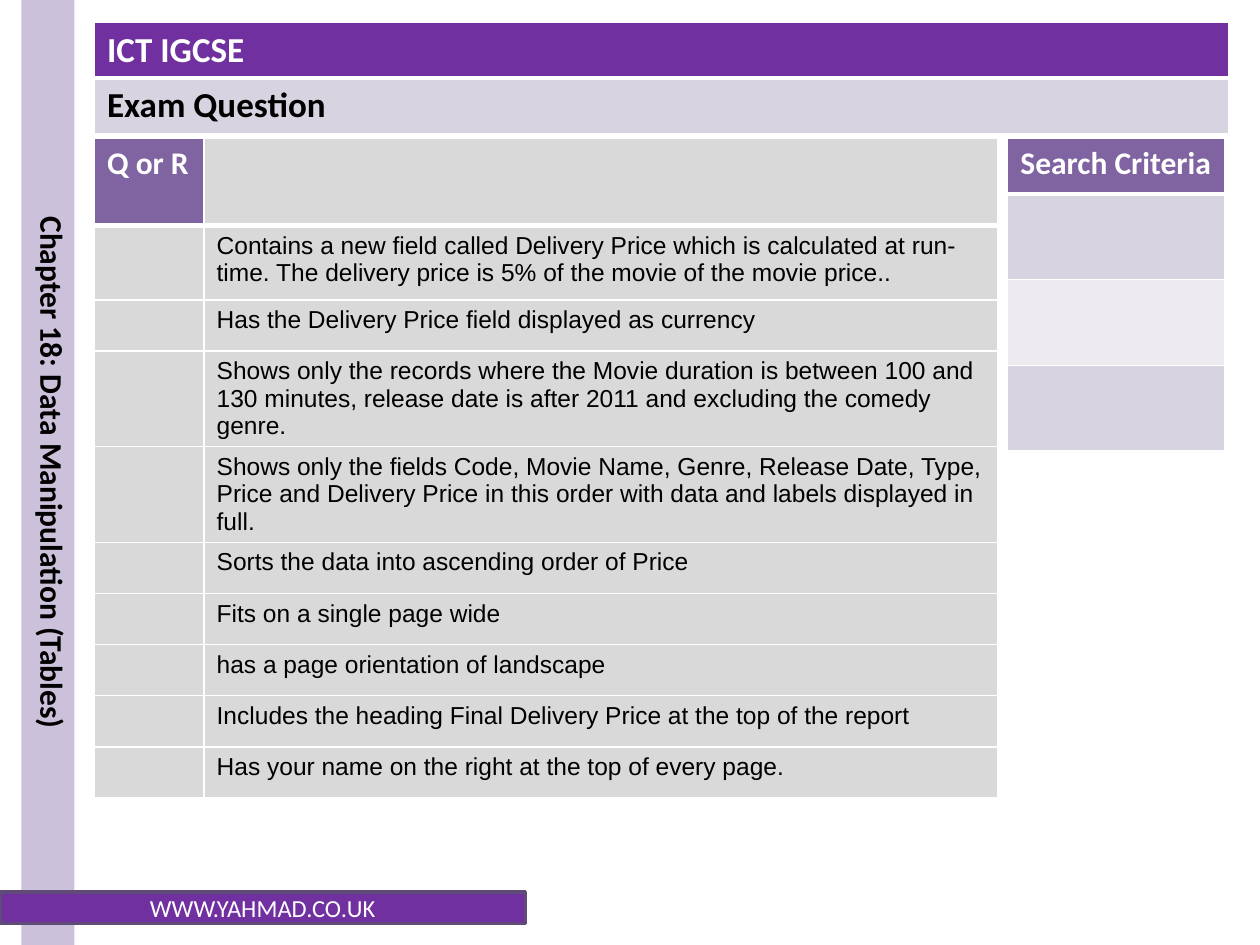
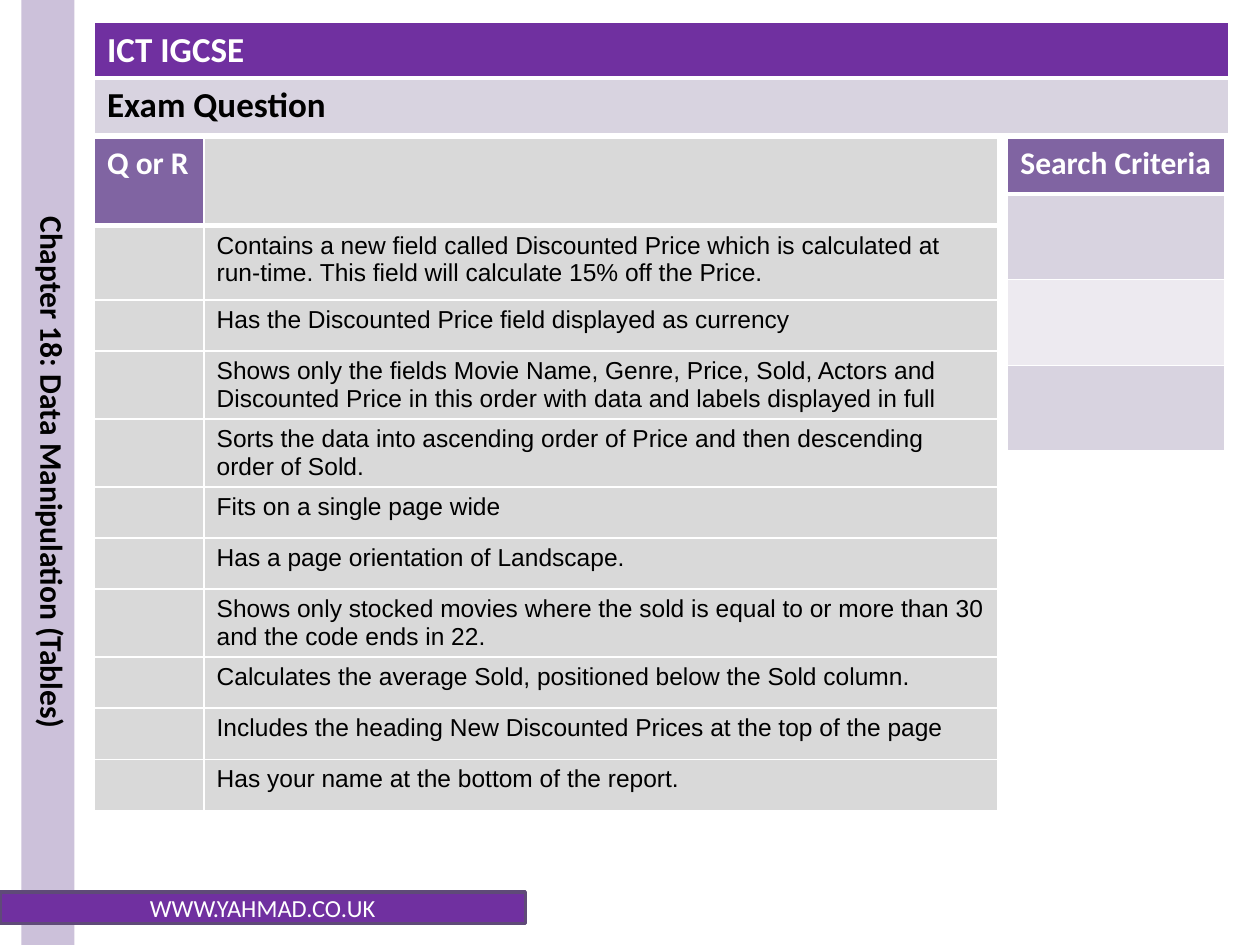
import lxml.etree
import pptx
import pptx.dml.color
import pptx.enum.shapes
import pptx.enum.text
import pptx.oxml.ns
import pptx.util

Inches, Pt = pptx.util.Inches, pptx.util.Pt
RGB = pptx.dml.color.RGBColor.from_string
qn = pptx.oxml.ns.qn
ALIGN = pptx.enum.text.PP_ALIGN
RECT = pptx.enum.shapes.MSO_SHAPE.RECTANGLE

HUES = {
    "white": "FFFFFF", "black": "000000", "title": "7030A0", "head": "8064A2",
    "mauve": "D8D3E0", "pale": "EDEAF0", "grey": "D9D9D9", "side": "CCC1DA",
    "edge": "5F4A78",
}
FONTS = {
    "title": dict(name="Calibri", size=Pt(20), bold=True),
    "head": dict(name="Calibri", size=Pt(18), bold=True),
    "task": dict(name="Arial", size=Pt(14), bold=False),
    "foot": dict(name="Calibri", size=Pt(14), bold=False),
}
HIGH = {1: 0.4, 2: 0.54, 3: 0.76}  # row height by number of text lines

# Each task: lines of text, wording
TASKS = [
    [
        (2, "Contains a new field called Delivery Price which is calculated at run-time. "
            "The delivery price is 5% of the movie of the movie price.."),
        (1, "Has the Delivery Price field displayed as currency"),
        (3, "Shows only the records where the Movie duration is between 100 and 130 minutes, "
            "release date is after 2011 and excluding the comedy genre."),
        (3, "Shows only the fields Code, Movie Name, Genre, Release Date, Type, Price and "
            "Delivery Price in this order with data and labels displayed in full."),
        (1, "Sorts the data into ascending order of Price"),
        (1, "Fits on a single page wide"),
        (1, "has a page orientation of landscape"),
        (1, "Includes the heading Final Delivery Price at the top of the report"),
        (1, "Has your name on the right at the top of every page."),
    ],
    [
        (2, "Contains a new field called Discounted Price which is calculated at run-time. "
            "This field will calculate 15% off the Price."),
        (1, "Has the Discounted Price field displayed as currency"),
        (2, "Shows only the fields Movie Name, Genre, Price, Sold, Actors and Discounted "
            "Price in this order with data and labels displayed in full"),
        (2, "Sorts the data into ascending order of Price and then descending order of Sold."),
        (1, "Fits on a single page wide"),
        (1, "Has a page orientation of Landscape."),
        (2, "Shows only stocked movies where the sold is equal to or more than 30 and the "
            "code ends in 22."),
        (1, "Calculates the average Sold, positioned below the Sold column."),
        (1, "Includes the heading New Discounted Prices at the top of the page"),
        (1, "Has your name at the bottom of the report."),
    ],
]


def write(frame, text, font, hue, align=ALIGN.LEFT):
    para = frame.paragraphs[0]
    para.alignment = align
    run = para.add_run()
    run.text = text
    for key, value in FONTS[font].items():
        setattr(run.font, key, value)
    run.font.color.rgb = RGB(HUES[hue])


def grid(slide, left, top, cols, rows, cells):
    """Draw a table with white rules; cells holds rows of (fill, write arguments)."""
    table = slide.shapes.add_table(
        len(rows), len(cols), Inches(left), Inches(top),
        Inches(sum(cols)), Inches(sum(rows))).table
    table.first_row = table.horz_banding = False
    for col, wide in zip(table.columns, cols):
        col.width = Inches(wide)
    for row, high in zip(table.rows, rows):
        row.height = Inches(high)
    for y, line in enumerate(cells):
        for x, (fill, words) in enumerate(line):
            cell = table.cell(y, x)
            props = cell._tc.get_or_add_tcPr()
            for side in "LRTB":
                thick = (y, side) in [(0, "B"), (1, "T")]
                rule = lxml.etree.SubElement(
                    props, qn("a:ln" + side), w=str(Pt(3 if thick else 1)))
                ink = lxml.etree.SubElement(rule, qn("a:solidFill"))
                lxml.etree.SubElement(ink, qn("a:srgbClr"), val=HUES["white"])
            cell.fill.solid()
            cell.fill.fore_color.rgb = RGB(HUES[fill])
            if words:
                write(cell.text_frame, *words)


deck = pptx.Presentation()
deck.slide_width, deck.slide_height = Inches(10), Inches(7.5)

for tasks in TASKS:
    slide = deck.slides.add_slide(deck.slide_layouts[6])

    # Title bands
    grid(slide, 0.75, 0.18, [9], [0.44, 0.43], [
        [("title", ("ICT IGCSE", "title", "white"))],
        [("mauve", ("Exam Question", "title", "black"))],
    ])

    # Side band and footer
    bars = []
    for fill, *place in [("side", 0.17, 0, 0.42, 7.5), ("title", 0, 7.08, 4.17, 0.25)]:
        bar = slide.shapes.add_shape(RECT, *map(Inches, place))
        bar.shadow.inherit = False
        bar.fill.solid()
        bar.fill.fore_color.rgb = RGB(HUES[fill])
        bar.line.fill.background()
        bars.append(bar)
    foot = bars[1]
    foot.line.color.rgb = RGB(HUES["edge"])
    foot.line.width = Pt(2)
    foot.text_frame.vertical_anchor = pptx.enum.text.MSO_ANCHOR.MIDDLE
    write(foot.text_frame, "WWW.YAHMAD.CO.UK", "foot", "white", ALIGN.CENTER)

    # Chapter name, turned to read downwards
    frame = slide.shapes.add_textbox(
        Inches(0.12), 0, Inches(0.5), Inches(7.5)).text_frame
    frame.word_wrap = True
    frame.auto_size = pptx.enum.text.MSO_AUTO_SIZE.SHAPE_TO_FIT_TEXT
    frame._txBody.bodyPr.set("vert", "vert")
    write(frame, "Chapter 18: Data Manipulation (Tables)", "head", "black", ALIGN.CENTER)

    # Tasks to mark as query or report
    rows = [0.69, 0.59] + [HIGH[lines] for lines, text in tasks[1:]]
    cells = [[("head", ("Q or R", "head", "white")), ("grey", None)]]
    cells += [[("grey", None), ("grey", (text, "task", "black"))] for lines, text in tasks]
    grid(slide, 0.75, 1.1, [0.87, 6.3], rows, cells)

    # Space for search criteria
    cells = [[("head", ("Search Criteria", "head", "white", ALIGN.CENTER))]]
    cells += [[(fill, None)] for fill in ("mauve", "pale", "mauve")]
    grid(slide, 7.99, 1.1, [1.73], [0.44] + [0.68] * 3, cells)

deck.save("out.pptx")
